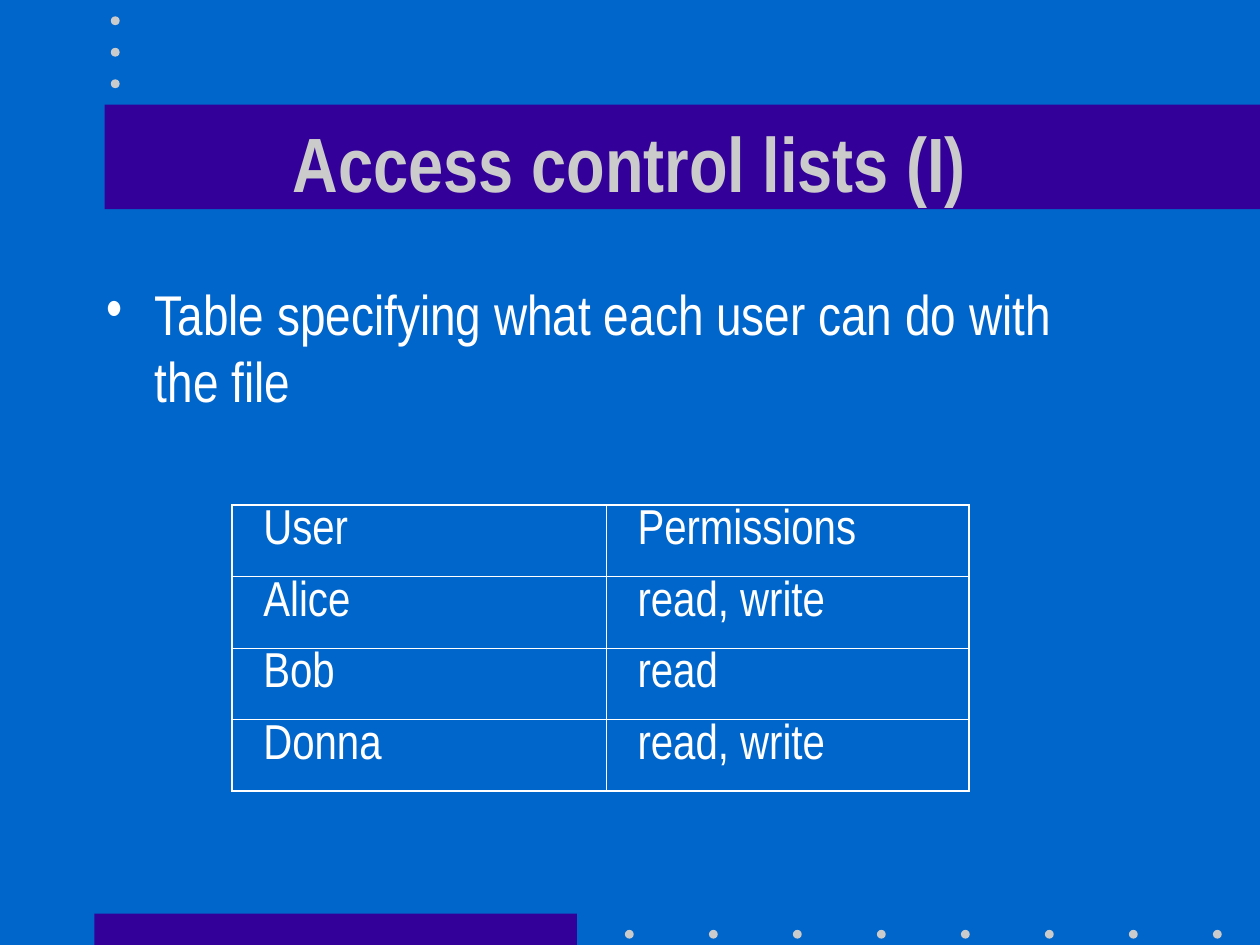
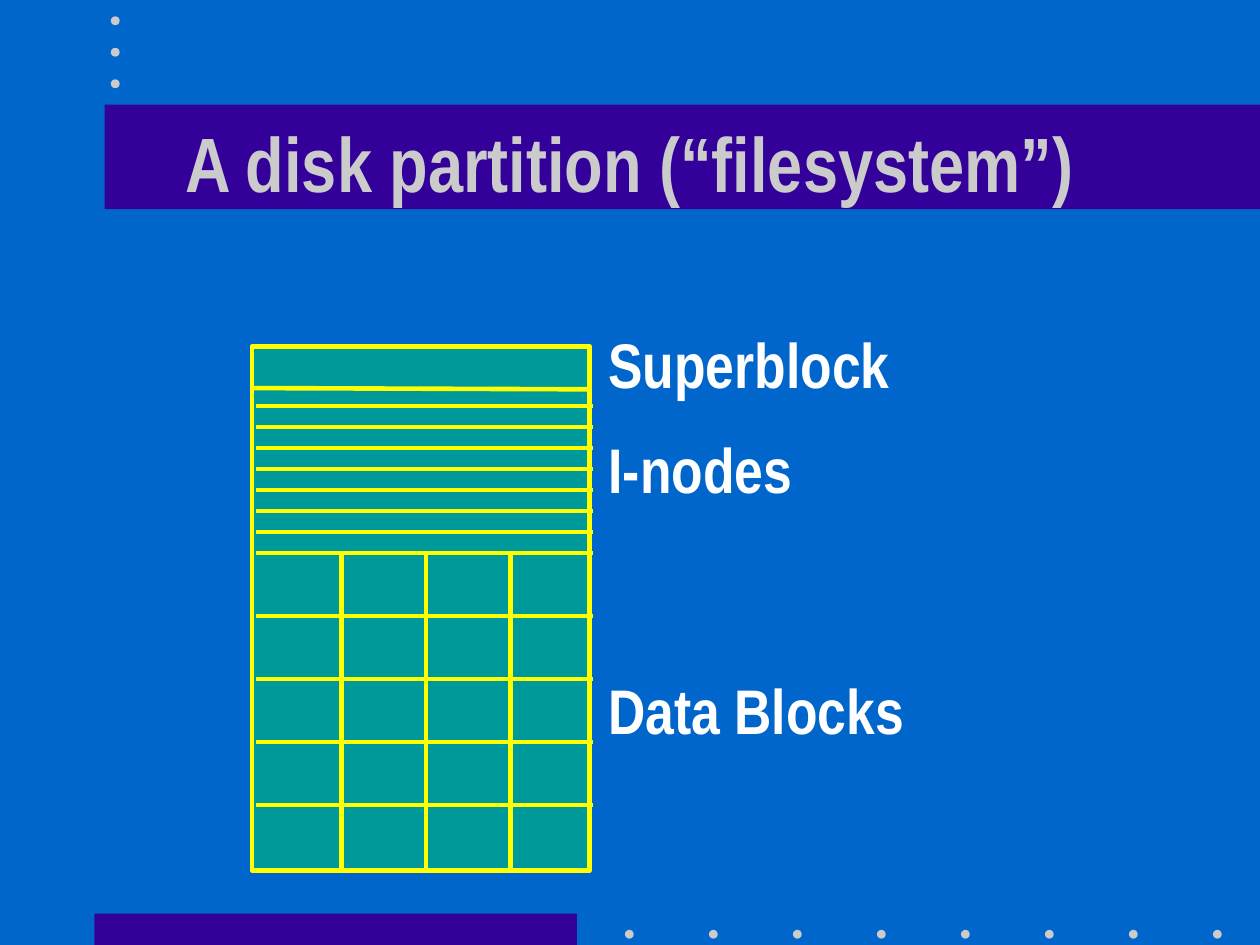
import lxml.etree
import pptx
import pptx.dml.color
import pptx.enum.shapes
import pptx.enum.text
import pptx.oxml.ns
import pptx.util

Inches = pptx.util.Inches
Pt = pptx.util.Pt
qn = pptx.oxml.ns.qn
rgb = pptx.dml.color.RGBColor.from_string
Shape = pptx.enum.shapes.MSO_SHAPE

FONT = "Arial Narrow"
BLUE, PURPLE, GREY = "0066CC", "330099", "CBCBCB"
WHITE, TEAL, YELLOW = "FFFFFF", "009999", "FFFF00"


def add_filled(slide, kind, left, top, width, height, colour):
    shape = slide.shapes.add_shape(
        kind, Inches(left), Inches(top), Inches(width), Inches(height))
    shape.shadow.inherit = False
    shape.fill.solid()
    shape.fill.fore_color.rgb = rgb(colour)
    shape.line.fill.background()
    return shape


def write(paragraph, text, size, colour=WHITE, bold=False):
    run = paragraph.add_run()
    run.text = text
    run.font.name = FONT
    run.font.size = Pt(size)
    run.font.bold = bold
    run.font.color.rgb = rgb(colour)


prs = pptx.Presentation()
prs.slide_width, prs.slide_height = Inches(10), Inches(7.5)
prs.slide_master.background.fill.solid()
prs.slide_master.background.fill.fore_color.rgb = rgb(BLUE)

# Bands, dots and title on every slide
dots = [(4.96 + i * 2 / 3, 7.38) for i in range(8)]
dots += [(0.88, 0.13 + i * 0.25) for i in range(3)]
for heading in ("Access control lists (I)", "A disk partition (“filesystem”)"):
    slide = prs.slides.add_slide(prs.slide_layouts[6])
    add_filled(slide, Shape.RECTANGLE, 0.75, 7.25, 3.83, 0.25, PURPLE)
    add_filled(slide, Shape.RECTANGLE, 0.83, 0.83, 9.17, 0.83, PURPLE)
    for left, top in dots:
        add_filled(slide, Shape.OVAL, left, top, 0.07, 0.07, GREY)
    title = slide.shapes.add_textbox(
        Inches(0.75), Inches(0.66), Inches(8.5), Inches(1.25)).text_frame
    title.word_wrap = True
    title.vertical_anchor = pptx.enum.text.MSO_ANCHOR.MIDDLE
    title.paragraphs[0].alignment = pptx.enum.text.PP_ALIGN.CENTER
    write(title.paragraphs[0], heading, 44, GREY, True)

access_slide, disk_slide = prs.slides

# Access control lists: definition
definition = access_slide.shapes.add_textbox(
    Inches(0.75), Inches(2.17), Inches(8.14), Inches(1.52)).text_frame
definition.word_wrap = True
point = definition.paragraphs[0]
point_props = point._p.get_or_add_pPr()
point_props.set("marL", str(Inches(0.38)))
point_props.set("indent", str(-Inches(0.38)))
lxml.etree.SubElement(point_props, qn("a:buFont")).set("typeface", FONT)
lxml.etree.SubElement(point_props, qn("a:buChar")).set("char", "•")
point.font.size = Pt(32)
write(point, "Table specifying what each user can do with the file", 32)

# Access control lists: permissions table
permissions = [
    ("User", "Permissions"),
    ("Alice", "read, write"),
    ("Bob", "read"),
    ("Donna", "read, write"),
]
last_row, last_col = len(permissions) - 1, 1
table = access_slide.shapes.add_table(
    len(permissions), 2, Inches(1.84), Inches(4.01), Inches(5.85), Inches(2.27)).table
table.first_row = table.horz_banding = False
table.columns[0].width, table.columns[1].width = Inches(2.97), Inches(2.88)
for r, entries in enumerate(permissions):
    for c, entry in enumerate(entries):
        cell = table.cell(r, c)
        cell.margin_left = Inches(0.25)
        cell.fill.background()
        line = cell.text_frame.paragraphs[0]
        line.line_spacing = 0.9
        write(line, entry, 28)
        outer_edges = [("a:lnL", c == 0), ("a:lnR", c == last_col),
                       ("a:lnT", r == 0), ("a:lnB", r == last_row)]
        for order, (tag, outer) in enumerate(outer_edges):
            border = lxml.etree.Element(qn(tag), w=str(Pt(1.08 if outer else 0.45)))
            ink = lxml.etree.SubElement(border, qn("a:solidFill"))
            lxml.etree.SubElement(ink, qn("a:srgbClr"), val=WHITE)
            cell._tc.get_or_add_tcPr().insert(order, border)

# Disk partition: superblock, i-node rows, grid of data blocks
partition = add_filled(disk_slide, Shape.RECTANGLE, 2, 2.75, 2.68, 4.16, TEAL)
partition.line.color.rgb = rgb(YELLOW)
partition.line.width = Pt(2.64)

blocks_top, blocks_bottom = 4.39, 6.89
row_tops = [blocks_top - i / 6 for i in range(8)]
row_tops += [blocks_top + i * 0.5 for i in range(1, 4)]
dividers = [(2, 3.08, 4.68, 3.09)]
dividers += [(2.03, y, 4.71, y) for y in row_tops]
dividers += [(2.03, 6.39, 3.6, 6.39), (3.6, 6.39, 4.71, 6.39)]
dividers += [(2.48, blocks_top, 2.7, blocks_top)]
dividers += [(x, blocks_top, x, blocks_bottom) for x in (2.71, 3.38, 4.05)]
for ends in dividers:
    divider = disk_slide.shapes.add_connector(
        pptx.enum.shapes.MSO_CONNECTOR.STRAIGHT, *map(Inches, ends))
    divider.line.color.rgb = rgb(YELLOW)
    divider.line.width = Pt(2.64)
    lxml.etree.SubElement(divider._element.spPr, qn("a:effectLst"))

for part, top, width in (("Superblock", 2.58, 2.3), ("I-nodes", 3.42, 1.5),
                         ("Data Blocks", 5.33, 2.4)):
    label = disk_slide.shapes.add_textbox(
        Inches(4.83), Inches(top), Inches(width), Inches(0.6)).text_frame
    label.margin_left = label.margin_right = 0
    label.margin_top = label.margin_bottom = 0
    label.word_wrap = False
    write(label.paragraphs[0], part, 36, bold=True)

prs.save("out.pptx")
